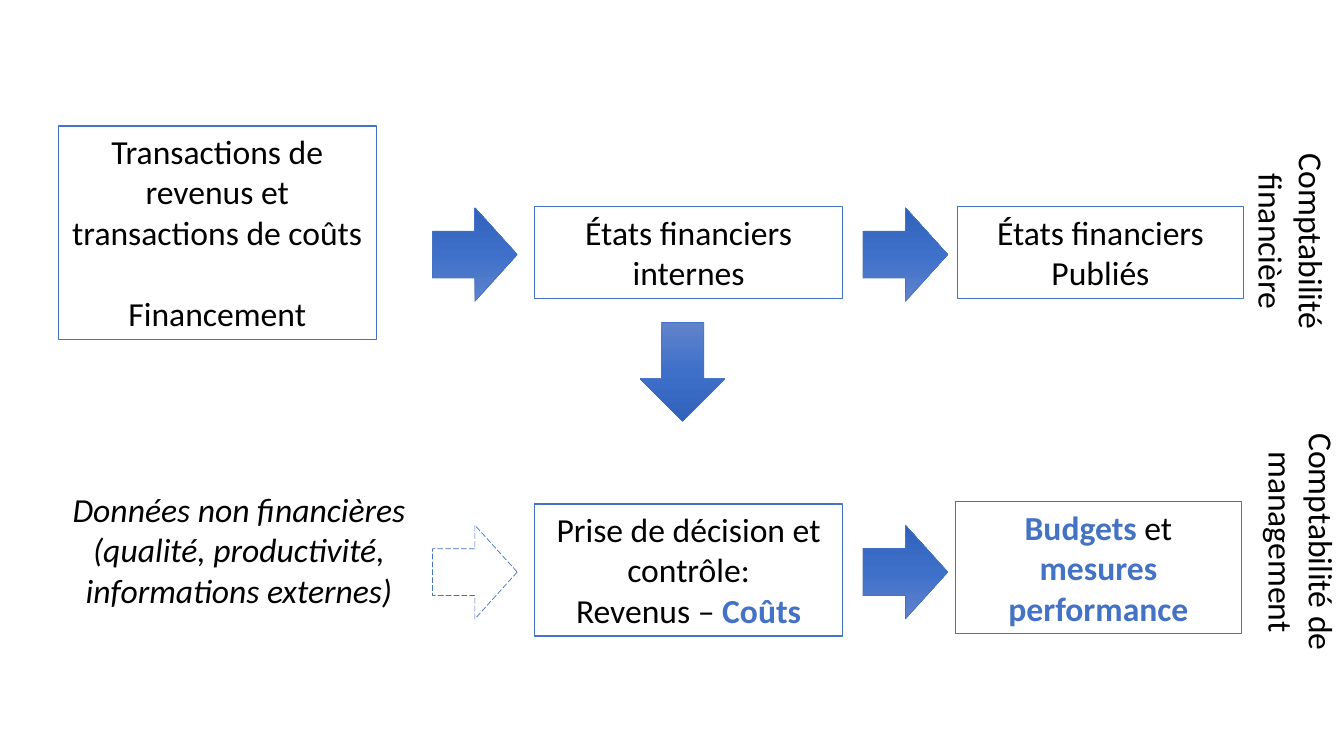
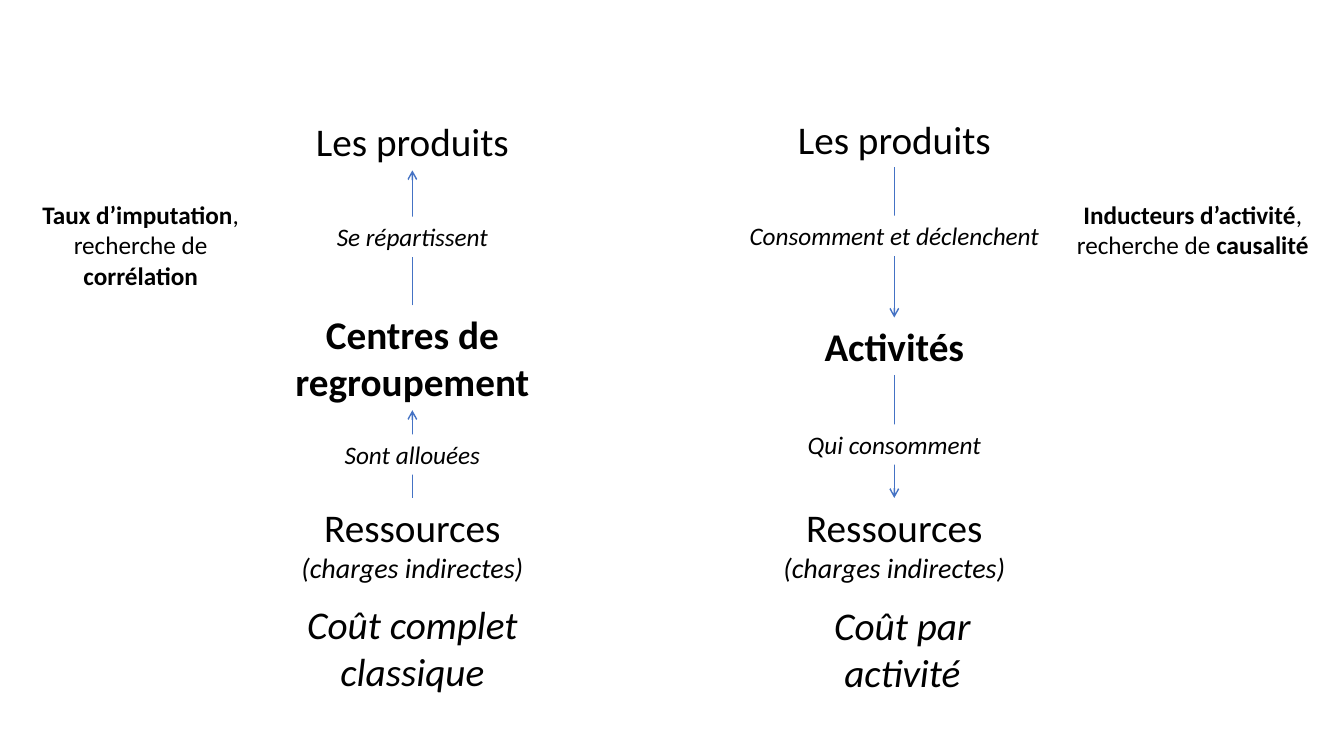
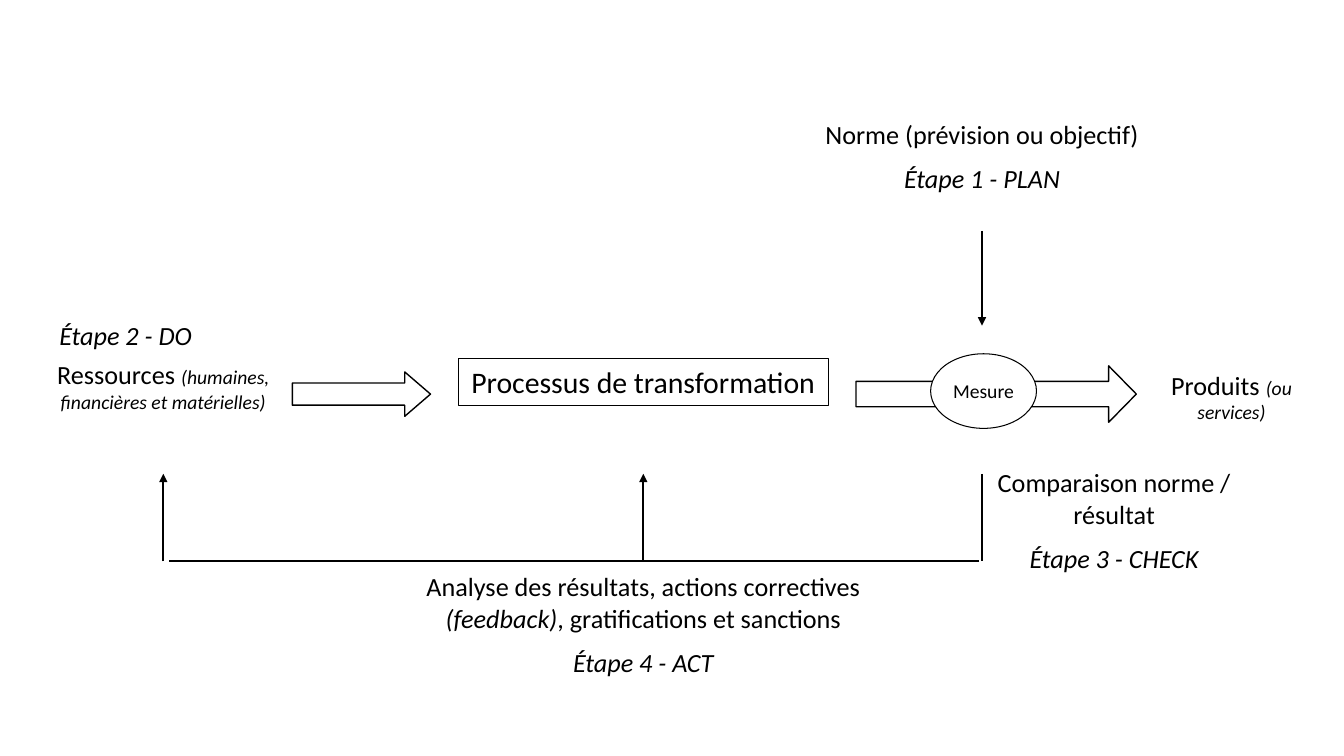
from copy import deepcopy

from pptx import Presentation
from pptx.dml.color import RGBColor
from pptx.enum.dml import MSO_LINE
from pptx.enum.shapes import MSO_CONNECTOR, MSO_SHAPE
from pptx.enum.text import MSO_ANCHOR, PP_ALIGN
from pptx.oxml.ns import qn
from pptx.util import Inches, Pt
from lxml.etree import SubElement

BLACK = RGBColor(0x00, 0x00, 0x00)
WHITE = RGBColor(0xFF, 0xFF, 0xFF)
BLUE = RGBColor(0x44, 0x72, 0xC4)
GRADIENT = [
    (0, RGBColor(0x61, 0x83, 0xCB)),
    (0.5, RGBColor(0x3E, 0x70, 0xCA)),
    (1, RGBColor(0x30, 0x62, 0xBB)),
]
FONT = "Calibri"

# Run styles
PLAIN = {}
BOLD = {"bold": True}
ITALIC = {"italic": True}
ACCENT = {"bold": True, "color": BLUE}
NOTE = {"italic": True, "size": 14}
SUBTITLE = {"italic": True, "size": 20}


def write(sp, paragraphs, size, gap=0, align=PP_ALIGN.CENTER,
          anchor=MSO_ANCHOR.TOP, inset=0.1):
    """Fill a shape; each paragraph is a list of (text, style) runs."""
    tf = sp.text_frame
    tf.word_wrap = True
    tf.vertical_anchor = anchor
    tf.margin_left = tf.margin_right = Inches(inset)
    for i, runs in enumerate(paragraphs):
        p = tf.add_paragraph() if i else tf.paragraphs[0]
        p.alignment = align
        if i and gap:
            p.space_before = Pt(gap)
        for text, style in runs:
            r = p.add_run()
            r.text = text
            r.font.name = FONT
            r.font.size = Pt(style.get("size", size))
            r.font.bold = style.get("bold", False)
            r.font.italic = style.get("italic", False)
            r.font.color.rgb = style.get("color", BLACK)


def add_text(s, at, paragraphs, size, rotation=0, **layout):
    sp = s.shapes.add_textbox(*map(Inches, at))
    sp.rotation = rotation
    write(sp, paragraphs, size, **layout)


def add_outline(s, kind, at, fill=None, line=None, width=0.75):
    sp = s.shapes.add_shape(kind, *map(Inches, at))
    sp.shadow.inherit = False
    if fill is None:
        sp.fill.background()
    else:
        sp.fill.solid()
        sp.fill.fore_color.rgb = fill
    if line is None:
        sp.line.fill.background()
    else:
        sp.line.color.rgb = line
        sp.line.width = Pt(width)
    return sp


def add_box(s, at, paragraphs, size, fill=None, line=None,
            kind=MSO_SHAPE.RECTANGLE, **layout):
    write(add_outline(s, kind, at, fill, line), paragraphs, size, **layout)


def shade(sp):
    """Give a shape the vertical blue gradient."""
    sp.fill.gradient()
    stops = sp._element.spPr.find(".//" + qn("a:gsLst"))
    stops.insert(1, deepcopy(stops[0]))
    for stop, (position, color) in zip(sp.fill.gradient_stops, GRADIENT):
        stop.position = position
        stop.color.rgb = color
    sp.fill.gradient_angle = 270


def add_line(s, start, end, color, width, head=None):
    line = s.shapes.add_connector(
        MSO_CONNECTOR.STRAIGHT, *map(Inches, (*start, *end)))
    line.line.color.rgb = color
    line.line.width = Pt(width)
    if head:
        SubElement(line.line._get_or_add_ln(), qn("a:tailEnd"), type=head)
    SubElement(line._element.spPr, qn("a:effectLst"))


def centred(center, top, width, height):
    return center - width / 2, top, width, height


def accounting_slide(s):
    size = 24
    arrow_w, arrow_h = 0.84, 0.93
    arrow_cols = (4.29, 8.56)
    arrow_rows = (2.06, 5.21)
    middle_col, middle_w = 5.3, 3.06
    right_w = 2.83

    boxes = [
        ((0.58, 1.25, 3.15, 2.12),
         [[("Transactions de revenus et transactions de coûts", PLAIN)],
          [("Financement", PLAIN)]]),
        ((middle_col, 2.05, middle_w, 0.91),
         [[("États financiers internes", PLAIN)]]),
        ((9.5, 2.05, right_w, 0.91),
         [[("États financiers", PLAIN)], [("Publiés", PLAIN)]]),
        ((middle_col, 5, middle_w, 1.31),
         [[("Prise de décision et contrôle:", PLAIN)],
          [("Revenus – ", PLAIN), ("Coûts", ACCENT)]]),
        ((9.48, 4.98, right_w, 1.31),
         [[("Budgets ", ACCENT), ("et ", PLAIN),
           ("mesures performance", ACCENT)]]),
    ]
    for i, (at, paragraphs) in enumerate(boxes):
        blank_line = 1.22 * size if i == 0 else 0
        add_box(s, at, paragraphs, size, line=BLUE, gap=blank_line)

    for row in arrow_rows:
        for col in arrow_cols:
            sp = add_outline(s, MSO_SHAPE.LEFT_ARROW,
                             (col, row, arrow_w, arrow_h),
                             line=BLUE, width=0.5)
            sp.rotation = 180
            if (col, row) == (arrow_cols[0], arrow_rows[1]):
                sp.line.dash_style = MSO_LINE.LONG_DASH
            else:
                shade(sp)
    shade(add_outline(s, MSO_SHAPE.DOWN_ARROW, (6.35, 3.2, arrow_w, 0.98),
                      line=BLUE, width=0.5))

    add_text(s, (0.59, 4.8, 3.56, 1.31),
             [[("Données non financières (qualité, productivité,", ITALIC)],
              [("informations externes)", ITALIC)]], size)
    for at, label in [
        ((11.66, 1.94, 2.3, 0.91), "Comptabilité financière"),
        ((11.51, 4.92, 2.8, 0.91), "Comptabilité de management"),
    ]:
        add_text(s, at, [[(label, PLAIN)]], size, rotation=90)


def costing_slide(s):
    size, label_size = 28, 18
    left, right = 4.09, 8.87
    resources_top = 4.94
    line_h, two_lines_h = 0.57, 1.04

    for center, top, width, height, text, style in [
        (left, 1.11, 2.89, line_h, "Les produits", PLAIN),
        (left, 3.03, 2.89, two_lines_h, "Centres de regroupement", BOLD),
        (left, 5.91, 3.31, two_lines_h, "Coût complet classique", ITALIC),
        (right, 1.09, 2.89, line_h, "Les produits", PLAIN),
        (right, 3.15, 2.89, line_h, "Activités", BOLD),
        (right + 0.08, 5.92, 2.63, two_lines_h, "Coût par activité", ITALIC),
    ]:
        add_text(s, centred(center, top, width, height), [[(text, style)]], size)

    for center in (left, right):
        add_text(s, centred(center, resources_top, 2.89, 0.91),
                 [[("Ressources", PLAIN)],
                  [("(charges indirectes)", SUBTITLE)]], size)

    for at, key, goal in [
        ((0.05, 1.93, 2.69, 1.01), "Taux d’imputation", "corrélation"),
        ((10.31, 1.93, 3.04, 0.71), "Inducteurs d’activité", "causalité"),
    ]:
        add_text(s, at, [[(key, BOLD), (", recherche de ", PLAIN),
                          (goal, BOLD)]], label_size)

    for x, start, end, label_top, width, label in [
        (left, 3.03, 1.69, 2.15, 2.52, "Se répartissent"),
        (left, resources_top, 4.07, 4.31, 2.62, "Sont allouées"),
        (right, 1.66, 3.15, 2.14, 3.18, "Consomment et déclenchent"),
        (right, 3.72, resources_top, 4.21, 2.62, "Qui consomment"),
    ]:
        add_line(s, (x, start), (x, end), BLUE, 1, "arrow")
        add_box(s, centred(x, label_top, width, 0.4),
                [[(label, ITALIC)]], label_size, fill=WHITE)


def control_loop_slide(s):
    size = 18.7
    gap = size / 2
    resources_x, process_x, measure_x = 1.62, 6.38, 9.74
    loop_top, loop_bottom = 4.7, 5.57

    add_box(s, centred(process_x, 3.56, 3.67, 0.46),
            [[("Processus de transformation", PLAIN)]], 21.3, line=BLACK)
    for at, adjustments in [
        ((2.9, 3.69, 1.37, 0.44), (0.5, 0.58)),
        ((8.49, 3.63, 2.78, 0.56), (0.45, 0.49)),
    ]:
        sp = add_outline(s, MSO_SHAPE.RIGHT_ARROW, at, line=BLACK, width=1)
        for i, value in enumerate(adjustments):
            sp.adjustments[i] = value

    add_text(s, centred(resources_x, 3.51, 2.4, 0.65),
             [[("Ressources ", PLAIN),
               ("(humaines, financières et matérielles)", NOTE)]],
             size, inset=0)
    add_text(s, (11.38, 3.61, 1.67, 0.65),
             [[("Produits ", PLAIN), ("(ou services)", NOTE)]], size)
    for at, runs, step in [
        (centred(measure_x, 1.12, 3.49, 0.89),
         [("Norme (prévision ou objectif)", PLAIN)], "Étape 1 - PLAN"),
        ((9.71, 4.58, 2.68, 1.2),
         [("Comparaison norme / résultat", PLAIN)], "Étape 3 - CHECK"),
        (centred(process_x, 5.61, 4.89, 1.2),
         [("Analyse des résultats, actions correctives ", PLAIN),
          ("(feedback)", ITALIC),
          (", gratifications et sanctions", PLAIN)], "Étape 4 - ACT"),
    ]:
        add_text(s, at, [runs, [(step, ITALIC)]], size, gap=gap)
    add_box(s, (0.49, 3.12, 1.53, 0.42), [[("Étape 2 - DO", ITALIC)]], size,
            fill=WHITE, align=PP_ALIGN.LEFT)

    for start, end, head in [
        ((measure_x, 2.29), (measure_x, 3.23), "triangle"),
        ((measure_x, loop_top), (measure_x, loop_bottom), None),
        ((9.71, loop_bottom), (1.68, loop_bottom), None),
        ((resources_x, loop_bottom), (resources_x, loop_top), "triangle"),
        ((process_x, loop_bottom), (process_x, loop_top), "triangle"),
    ]:
        add_line(s, start, end, BLACK, 1.5, head)

    add_box(s, (9.23, 3.51, 1.05, 0.74), [[("Mesure", PLAIN)]], 14,
            fill=WHITE, line=BLACK, kind=MSO_SHAPE.OVAL,
            anchor=MSO_ANCHOR.MIDDLE, inset=0)


def main():
    prs = Presentation()
    prs.slide_width, prs.slide_height = Inches(13.33), Inches(7.5)
    blank = prs.slide_layouts[6]
    for build in (accounting_slide, costing_slide, control_loop_slide):
        build(prs.slides.add_slide(blank))
    prs.save("out.pptx")


if __name__ == "__main__":
    main()
